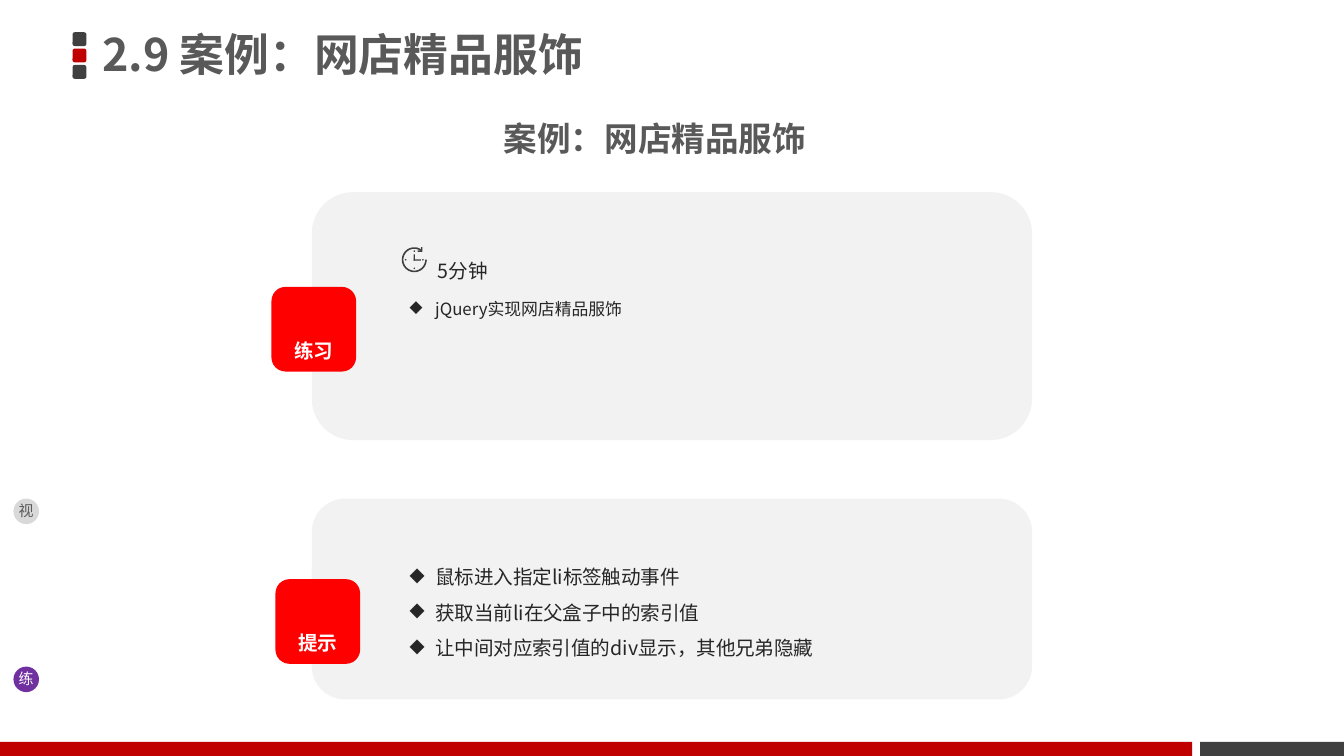
"""Build the exercise slide of a jQuery course."""
import math
from dataclasses import dataclass

from pptx import Presentation
from pptx import util as u
from pptx.dml.color import RGBColor
from pptx.enum import shapes, text
from pptx.oxml import xmlchemy as xml

CELL = u.Inches(0.1)
COLUMNS, ROWS = 100, 56.25
KIND = shapes.MSO_SHAPE


@dataclass(frozen=True)
class Theme:
    """Colours, font and type sizes of the deck."""
    font: str = "Noto Sans CJK SC"
    dark: str = "404040"
    red: str = "C00000"
    badge: str = "FF0000"
    panel: str = "F2F2F2"
    heading: str = "595959"
    ink: str = "262626"
    white: str = "FFFFFF"
    grey: str = "D9D9D9"
    purple: str = "7030A0"
    title: float = 24
    subtitle: float = 18
    body: float = 10.5
    small: float = 9
    tag: float = 8


THEME = Theme()


@dataclass(frozen=True)
class Box:
    """A rectangle measured in grid cells."""
    left: float
    top: float
    width: float
    height: float

    def place(self, left, top, width, height):
        """Return a box offset from this one's corner."""
        return Box(self.left + left, self.top + top, width, height)

    def lengths(self):
        """Return left, top, width and height as slide lengths."""
        return [round(n * CELL) for n in (self.left, self.top, self.width, self.height)]


def paint(shape, colour):
    """Give a shape a flat fill without line or shadow."""
    shape.shadow.inherit = False
    shape.fill.solid()
    shape.fill.fore_color.rgb = RGBColor.from_string(colour)
    shape.line.fill.background()


def add_block(page, kind, box, colour):
    """Add a flat preset shape."""
    shape = page.shapes.add_shape(kind, *box.lengths())
    paint(shape, colour)
    return shape


def add_outline(page, points, colour):
    """Add a flat polygon through points given in cells."""
    corners = [(round(x * CELL), round(y * CELL)) for x, y in points]
    builder = page.shapes.build_freeform(*corners[0])
    builder.add_line_segments(corners[1:], close=True)
    paint(builder.convert_to_shape(), colour)


def add_bullet(para, colour):
    """Give a paragraph a hanging diamond bullet."""
    props = para._p.get_or_add_pPr()
    props.set("marL", str(u.Inches(0.19)))
    props.set("indent", str(-u.Inches(0.19)))
    tint = xml.OxmlElement("a:buClr")
    value = xml.OxmlElement("a:srgbClr")
    value.set("val", colour)
    tint.append(value)
    mark = xml.OxmlElement("a:buChar")
    mark.set("char", "◆")
    props.extend([tint, mark])


def write(frame, lines, size, colour, bold=False, align=None, spacing=1.0, bullet=False):
    """Fill a text frame with one paragraph per line."""
    frame.word_wrap = True
    for index, line in enumerate(lines):
        para = frame.paragraphs[0] if index == 0 else frame.add_paragraph()
        para.alignment = align or text.PP_ALIGN.LEFT
        para.line_spacing = spacing
        if bullet:
            add_bullet(para, colour)
        span = para.add_run()
        span.text = line
        span.font.size = u.Pt(size)
        span.font.bold = bold
        span.font.color.rgb = RGBColor.from_string(colour)
        span.font.name = THEME.font
        asian = xml.OxmlElement("a:ea")
        asian.set("typeface", THEME.font)
        span._r.get_or_add_rPr().append(asian)


def add_text(page, box, lines, size, colour, **style):
    """Add a text box that grows with its text."""
    area = page.shapes.add_textbox(*box.lengths())
    write(area.text_frame, lines, size, colour, **style)
    area.text_frame.auto_size = text.MSO_AUTO_SIZE.SHAPE_TO_FIT_TEXT


def add_header(page, box, title):
    """Place the three squares and the slide title."""
    for row, colour in enumerate((THEME.dark, THEME.red, THEME.dark)):
        square = add_block(page, KIND.ROUNDED_RECTANGLE,
                           box.place(0, 2.6 + 1.22 * row, 1.03, 1.03), colour)
        square.adjustments[0] = 0.17
    holder = page.shapes.title
    holder.left, holder.top, holder.width, holder.height = box.place(1.5, 0, 58.9, 8.9).lengths()
    frame = holder.text_frame
    frame.auto_size = text.MSO_AUTO_SIZE.NONE
    frame.vertical_anchor = text.MSO_ANCHOR.MIDDLE
    frame.margin_left = frame.margin_right = u.Inches(0.07)
    frame.margin_top = frame.margin_bottom = u.Inches(0.04)
    write(frame, [title], THEME.title, THEME.heading, bold=True, spacing=0.9)


def add_footer(page, box):
    """Place the two-part bar along the bottom edge."""
    split, gap = 88.7, 0.6
    add_block(page, KIND.RECTANGLE, box.place(0, 0, split, box.height), THEME.red)
    add_block(page, KIND.RECTANGLE,
              box.place(split + gap, 0, box.width - split - gap, box.height), THEME.dark)


def add_panel(page, box, badge, label, notes, lines, size):
    """Place a rounded panel with its badge and bulleted notes."""
    add_block(page, KIND.ROUNDED_RECTANGLE, box, THEME.panel)
    add_block(page, KIND.ROUNDED_RECTANGLE, badge, THEME.badge)
    add_text(page, badge.place(-0.1, 3.35, 6.5, 2.8), [label], THEME.body, THEME.white,
             bold=True, align=text.PP_ALIGN.CENTER)
    add_text(page, notes, lines, size, THEME.ink, spacing=1.5, bullet=True)


def add_clock(page, box):
    """Place a clock with an open rim, an arrow tip, four ticks and two hands."""
    radius = box.width / 2
    x, y = box.left + radius, box.top + radius
    sweep = [math.radians(5 * step) for step in range(62)]
    rim = [(x + radius * math.cos(a), y + radius * math.sin(a)) for a in sweep]
    inner = [(x + 0.87 * radius * math.cos(a), y + 0.87 * radius * math.sin(a))
             for a in reversed(sweep)]
    add_outline(page, rim + inner, THEME.dark)
    tip = [(0.25, -0.7), (0.5, -0.7), (0.5, -0.95), (0.6, -0.95), (0.6, -0.6), (0.25, -0.6)]
    add_outline(page, [(x + dx, y + dy) for dx, dy in tip], THEME.dark)
    for dx, dy in ((0, -1), (0, 1), (1, 0), (-1, 0)):
        tick = Box(x + 0.64 * dx - 0.06, y + 0.64 * dy - 0.06, 0.12, 0.12)
        add_block(page, KIND.OVAL, tick, THEME.dark)
    for hand in (Box(x - 0.06, y - 0.4, 0.1, 0.46), Box(x - 0.06, y - 0.04, 0.56, 0.1)):
        add_block(page, KIND.RECTANGLE, hand, THEME.dark)


def add_timer(page, box, duration):
    """Place the clock and the time allowed."""
    add_clock(page, box.place(0, 0.5, 1.86, 1.86))
    add_text(page, box.place(1.7, 0, 7.2, 3.6), [duration], THEME.body, THEME.ink, spacing=1.5)


def add_tag(page, box, label, fill, colour):
    """Place a round one-character tag."""
    add_block(page, KIND.OVAL, box, fill)
    add_text(page, box.place(-0.6, -0.25, 3.2, 2.4), [label], THEME.tag, colour)


def add_exercise_slide(deck):
    """Add the slide with the task, the hints and the side tags."""
    page = deck.slides.add_slide(deck.slide_layouts[5])
    add_header(page, Box(5.4, -0.2, 60.4, 8.9), "2.9 案例：网店精品服饰")
    add_footer(page, Box(0, 55.2, COLUMNS, ROWS - 55.2))
    add_text(page, Box(36.5, 8.6, 35.4, 3.7), ["案例：网店精品服饰"],
             THEME.subtitle, THEME.heading, bold=True, spacing=0.9)
    task = Box(23.2, 14.3, 53.6, 18.45)
    add_panel(page, task, task.place(-3, 7.05, 6.3, 6.3), "练习",
              task.place(6.3, 6.7, 37, 3.3), ["jQuery实现网店精品服饰"], THEME.small)
    add_timer(page, task.place(6.7, 3.6, 8.9, 3.6), "5分钟")
    hints = Box(23.2, 37.1, 53.6, 14.95)
    add_panel(page, hints, hints.place(-2.7, 6, 6.3, 6.3), "提示",
              hints.place(6.3, 3.6, 36.2, 8.9),
              ["鼠标进入指定li标签触动事件", "获取当前li在父盒子中的索引值",
               "让中间对应索引值的div显示，其他兄弟隐藏"], THEME.body)
    add_tag(page, Box(1, 37.1, 1.9, 1.9), "视", THEME.grey, THEME.heading)
    add_tag(page, Box(1, 49.6, 1.9, 1.9), "练", THEME.purple, THEME.white)


def main():
    """Build and save the deck."""
    deck = Presentation()
    deck.slide_width, deck.slide_height = round(COLUMNS * CELL), round(ROWS * CELL)
    add_exercise_slide(deck)
    deck.save("out.pptx")


if __name__ == "__main__":
    main()
